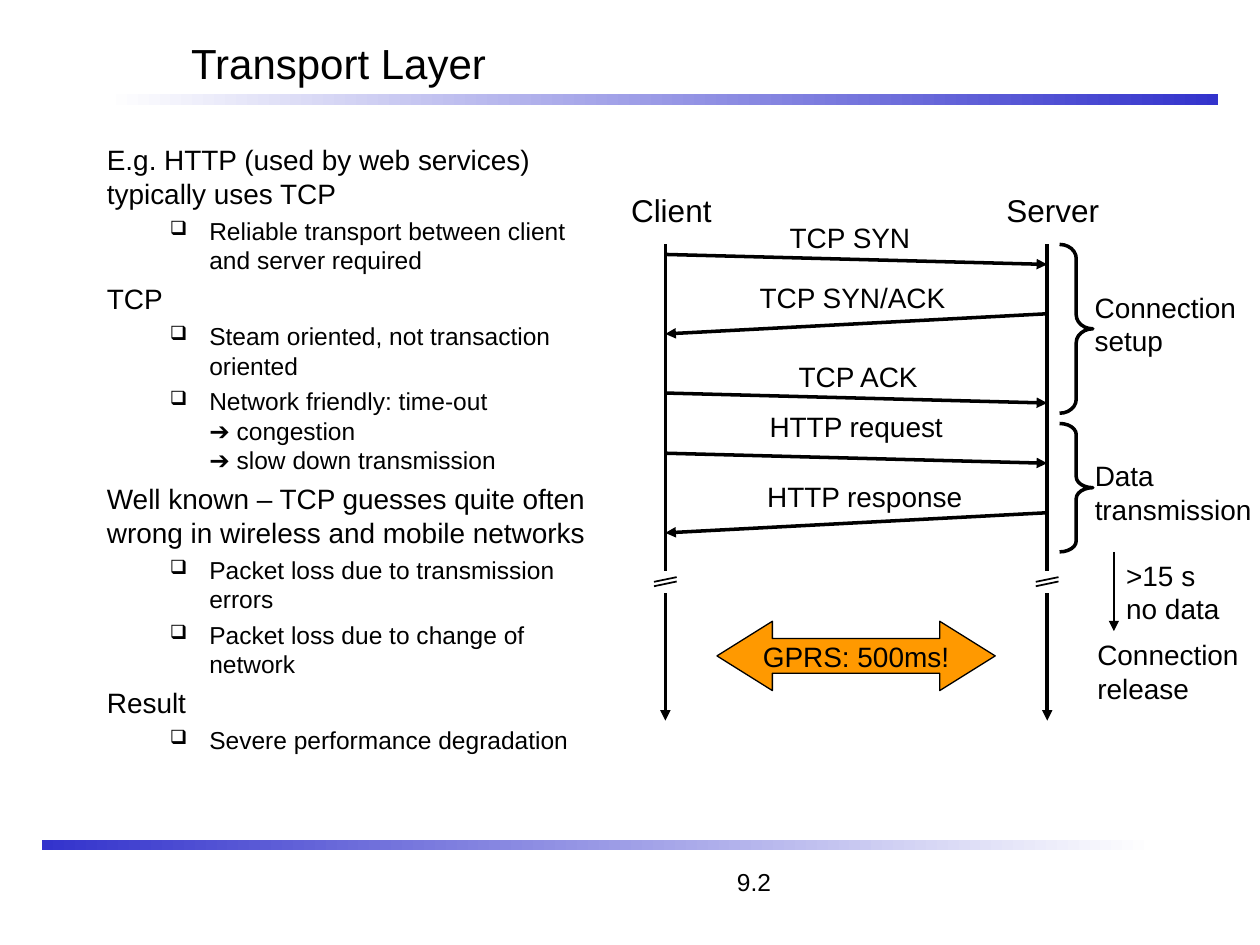
import copy

import lxml.etree
import pptx
import pptx.dml.color
import pptx.enum.shapes
import pptx.enum.text
import pptx.oxml.ns
import pptx.util

Pt = pptx.util.Pt
RGBColor = pptx.dml.color.RGBColor
Shape = pptx.enum.shapes.MSO_SHAPE
Anchor = pptx.enum.text.MSO_ANCHOR
Align = pptx.enum.text.PP_ALIGN
AutoSize = pptx.enum.text.MSO_AUTO_SIZE
qn = pptx.oxml.ns.qn

BLACK = RGBColor(0x00, 0x00, 0x00)
WHITE = RGBColor(0xFF, 0xFF, 0xFF)
BLUE = RGBColor(0x33, 0x33, 0xCC)
ORANGE = RGBColor(0xFF, 0x99, 0x00)


def add_element(parent, tag, **values):
    return lxml.etree.SubElement(parent, qn(tag), values)


class SlideBuilder:
    font_name = "Arial"
    label_size = 16

    def __init__(self, page):
        self.page = page

    def style_text(self, para, size):
        font_values = {"name": self.font_name, "size": Pt(size), "bold": False}
        for span in para.runs:
            for name, value in font_values.items():
                setattr(span.font, name, value)
            span.font.color.rgb = BLACK
        for line_break in para._p.findall(qn("a:br")):
            line_break.append(copy.deepcopy(para.runs[0]._r.rPr))

    def set_frame(self, frame, **values):
        for name, value in values.items():
            setattr(frame, name, value)

    def title(self, text, left, top, width, height):
        box = self.page.shapes.title
        place = {"left": left, "top": top, "width": width, "height": height}
        for name, value in place.items():
            setattr(box, name, Pt(value))
        self.set_frame(box.text_frame, text=text, word_wrap=True,
                       auto_size=AutoSize.NONE, vertical_anchor=Anchor.MIDDLE)
        para = box.text_frame.paragraphs[0]
        para.alignment = Align.LEFT
        self.style_text(para, 24)

    def text_box(self, left, top, width, height, wrap=True):
        box = self.page.shapes.add_textbox(Pt(left), Pt(top), Pt(width), Pt(height))
        fit = AutoSize.NONE if wrap else AutoSize.SHAPE_TO_FIT_TEXT
        self.set_frame(box.text_frame, word_wrap=wrap, auto_size=fit)
        return box

    def label(self, text, left, top, width, height=26.6, size=label_size):
        box = self.text_box(left, top, width, height, wrap=False)
        box.text_frame.text = text
        for para in box.text_frame.paragraphs:
            self.style_text(para, size)

    def outline(self, items, left, top, width, height):
        frame = self.text_box(left, top, width, height).text_frame
        for index, (level, text) in enumerate(items):
            para = frame.add_paragraph() if index else frame.paragraphs[0]
            para.text = text
            if level:
                para.level = level
                properties = para._p.get_or_add_pPr()
                properties.set("marL", str(Pt(58.5)))
                properties.set("indent", str(Pt(-22.5)))
                colour = add_element(properties, "a:buClr")
                add_element(colour, "a:srgbClr", val=str(BLACK))
                add_element(properties, "a:buSzPct", val="80000")
                add_element(properties, "a:buChar", char="❑")
            if index:
                para.space_before = Pt(3.5 if level else 4)
            self.style_text(para, 14 if level else 16)

    def page_number(self, text, left, top, width, height, tab):
        para = self.text_box(left, top, width, height).text_frame.paragraphs[0]
        para.text = "\t" + text
        tabs = add_element(para._p.get_or_add_pPr(), "a:tabLst")
        add_element(tabs, "a:tab", pos=str(Pt(tab)), algn="l")
        self.style_text(para, 14)

    def shape(self, kind, left, top, width, height, fill=None, line=None,
              weight=1, adjustments=()):
        item = self.page.shapes.add_shape(
            kind, Pt(left), Pt(top), Pt(width), Pt(height))
        item.shadow.inherit = False
        for index, value in enumerate(adjustments):
            item.adjustments[index] = value
        if fill is None:
            item.fill.background()
        else:
            item.fill.solid()
            item.fill.fore_color.rgb = fill
        if line is None:
            item.line.fill.background()
        else:
            item.line.color.rgb = line
            item.line.width = Pt(weight)
        return item

    def gradient_bar(self, left, top, start, end):
        bar = self.shape(Shape.RECTANGLE, left, top, 636, 6)
        bar.fill.gradient()
        bar.fill.gradient_angle = 0
        for stop, colour in zip(bar.fill.gradient_stops, (start, end)):
            stop.color.rgb = colour

    def line(self, x1, y1, x2, y2, weight=2, arrow=True):
        item = self.page.shapes.add_connector(
            pptx.enum.shapes.MSO_CONNECTOR.STRAIGHT, Pt(x1), Pt(y1), Pt(x2), Pt(y2))
        item.line.color.rgb = BLACK
        item.line.width = Pt(weight)
        if arrow:
            add_element(item.line._get_or_add_ln(), "a:tailEnd", type="triangle")
        add_element(item._element.spPr, "a:effectLst")

    def brace(self, top, height, curve):
        self.shape(Shape.RIGHT_BRACE, 605.5, top, 19, height, line=BLACK,
                   weight=2, adjustments=(curve, 0.5))

    def axis_break(self, x):
        self.shape(Shape.RECTANGLE, x - 13, 327, 26, 11.5, WHITE, WHITE)
        for y in (332.5, 335):
            self.line(x - 6.5, y, x + 6.5, y - 2.7, weight=1, arrow=False)

    def block_arrow(self, text, left, top, width, height):
        arrow = self.shape(Shape.LEFT_RIGHT_ARROW, left, top, width, height,
                           ORANGE, BLACK, 0.75, (0.5, 0.8))
        self.set_frame(arrow.text_frame, text=text, word_wrap=False,
                       vertical_anchor=Anchor.MIDDLE)
        para = arrow.text_frame.paragraphs[0]
        para.alignment = Align.CENTER
        self.style_text(para, self.label_size)


OUTLINE = [
    (0, "E.g. HTTP (used by web services) typically uses TCP"),
    (1, "Reliable transport between client and server required"),
    (0, "TCP"),
    (1, "Steam oriented, not transaction oriented"),
    (1, "Network friendly: time-out \v➔ congestion \v➔ slow down transmission"),
    (0, "Well known – TCP guesses quite often wrong in wireless and mobile networks"),
    (1, "Packet loss due to transmission errors"),
    (1, "Packet loss due to change of network"),
    (0, "Result"),
    (1, "Severe performance degradation"),
]

# Text, label left, label top, label width, arrow start height, from client
MESSAGES = [
    ("TCP SYN", 444.2, 122.4, 84, 145.4, True),
    ("TCP SYN/ACK", 427, 156.6, 121, 179.3, False),
    ("TCP ACK", 449.3, 202, 84, 224.6, True),
    ("HTTP request", 432.7, 230.4, 114, 259, True),
    ("HTTP response", 431.3, 270.4, 126, 293, False),
]
CLIENT_X, SERVER_X = 380.2, 598.4


def main():
    deck = pptx.Presentation()
    deck.slide_width, deck.slide_height = Pt(720), Pt(540)
    builder = SlideBuilder(deck.slides.add_slide(deck.slide_layouts[5]))

    # Frame of the page
    builder.gradient_bar(60, 54, WHITE, BLUE)
    builder.gradient_bar(24, 480, BLUE, WHITE)
    builder.page_number("9.2", 24, 492, 630, 24, tab=390)
    builder.title("Transport Layer", 102, 18, 576, 36)
    builder.outline(OUTLINE, 54, 78, 300, 402)

    # Client and server time lines
    builder.label("Client", 353.5, 105.4, 62, 28.8, size=18)
    builder.label("Server", 568, 105.4, 70, 28.8, size=18)
    for x in (CLIENT_X, SERVER_X):
        builder.line(x, 139.7, x, 411.8)
        builder.axis_break(x)

    # Messages
    for text, left, top, width, y, from_client in MESSAGES:
        if from_client:
            builder.line(CLIENT_X, y, SERVER_X, y + 5.7)
        else:
            builder.line(SERVER_X, y, CLIENT_X, y + 11.5)
        builder.label(text, left, top, width)

    # Phases
    builder.brace(139.7, 96.5, 0.42)
    builder.brace(242, 73.4, 0.33)
    builder.label("Connection\nsetup", 618.5, 162.3, 97, 46)
    builder.label("Data\ntransmission", 618.5, 258.5, 107, 46)
    builder.line(636.5, 315.4, 636.5, 360.7, weight=0.75)
    builder.label(">15 s\nno data", 636.5, 315.4, 69, 46)
    builder.label("Connection\nrelease", 620, 360.7, 97, 46)
    builder.block_arrow("GPRS: 500ms!", 409.7, 355, 159, 39.6)

    deck.save("out.pptx")


if __name__ == "__main__":
    main()
